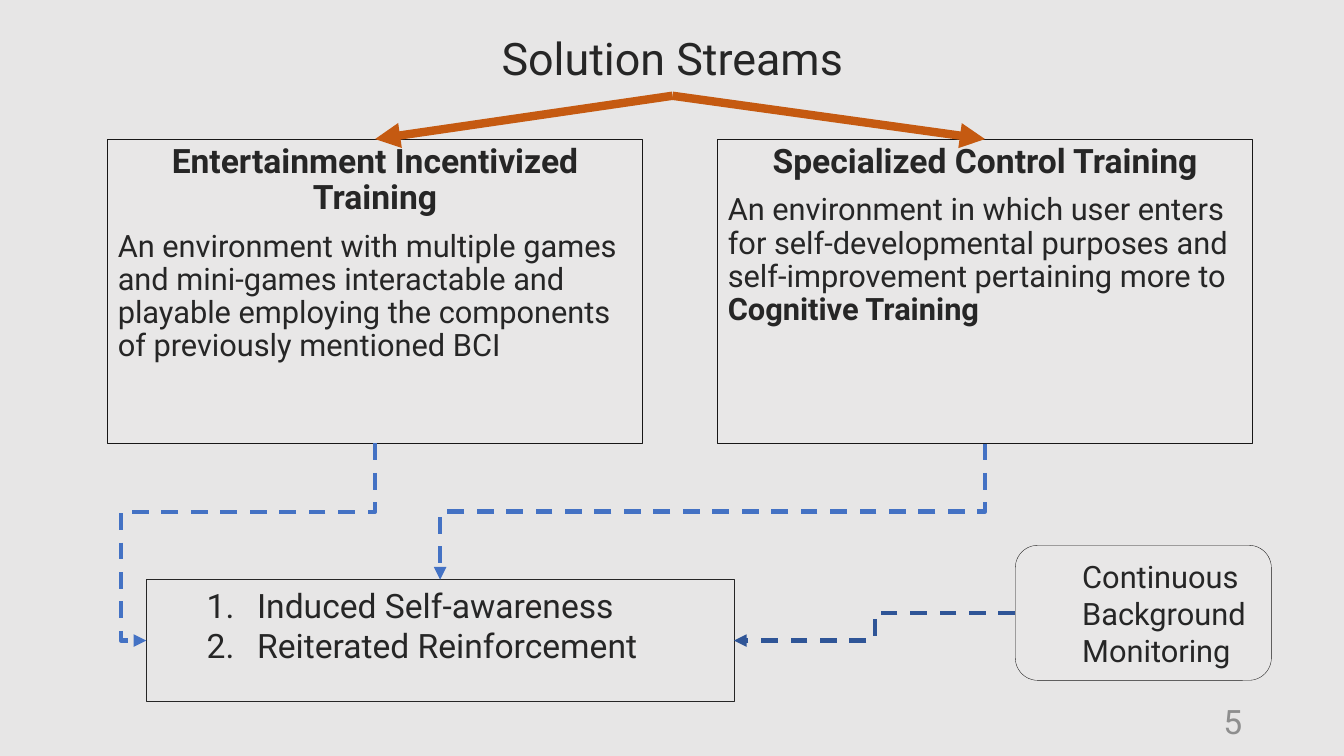
import pptx
import pptx.dml.color
import pptx.enum.dml
import pptx.enum.shapes
import pptx.enum.text
import pptx.oxml
import pptx.oxml.ns
import pptx.util
import lxml.etree

Inches = pptx.util.Inches
Pt = pptx.util.Pt
ALIGN = pptx.enum.text.PP_ALIGN
ANCHOR = pptx.enum.text.MSO_ANCHOR
SHAPE = pptx.enum.shapes.MSO_SHAPE
CONNECTOR = pptx.enum.shapes.MSO_CONNECTOR
qn = pptx.oxml.ns.qn

FONT = "Roboto"
INK = "262626"
PANEL = "E8E7E7"
TOP, LEFT, BOTTOM, RIGHT = range(4)


def color(value):
    return pptx.dml.color.RGBColor.from_string(value)


def place(item, box):
    item.left, item.top, item.width, item.height = (Inches(v) for v in box)


def add_run(para, text, size, bold=False, ink=INK):
    font_run = para.add_run()
    font_run.text = text
    font = font_run.font
    font.name, font.size, font.bold = FONT, Pt(size), bold
    font.color.rgb = color(ink)


def set_indent(para, margin, first=0):
    properties = para._p.get_or_add_pPr()
    properties.set("marL", str(Inches(margin)))
    properties.set("indent", str(Inches(first)))
    return properties


def outline(item, line_color, width):
    item.line.color.rgb = color(line_color)
    item.line.width = Pt(width)


def add_panel(page, kind, box, width, anchor):
    panel = page.shapes.add_shape(kind, *(Inches(v) for v in box))
    panel.shadow.inherit = False
    panel.fill.solid()
    panel.fill.fore_color.rgb = color(PANEL)
    outline(panel, "181717", width)
    panel.text_frame.word_wrap = True
    panel.text_frame.vertical_anchor = anchor
    return panel


def add_title(page, box, text):
    title = page.shapes.title
    place(title, box)
    title.text_frame.vertical_anchor = ANCHOR.MIDDLE
    para = title.text_frame.paragraphs[0]
    para.alignment = ALIGN.CENTER
    para.line_spacing = 0.9
    add_run(para, text, 32)
    return title


def add_stream(page, box, heading, body_runs):
    """Box with a bold heading over a description of (text, bold) runs."""
    panel = add_panel(page, SHAPE.RECTANGLE, box, 0.75, ANCHOR.TOP)
    head = panel.text_frame.paragraphs[0]
    body = panel.text_frame.add_paragraph()
    for para, alignment in ((head, ALIGN.CENTER), (body, ALIGN.LEFT)):
        para.alignment = alignment
        para.line_spacing = 0.9
        para.space_before = Pt(10)
    add_run(head, heading, 24, bold=True)
    for text, bold in body_runs:
        add_run(body, text, 22, bold)
    return panel


def add_outcomes(page, box, items):
    """Numbered list in the body placeholder."""
    outcomes = page.placeholders[1]
    place(outcomes, box)
    outline(outcomes, INK, 0.25)
    frame = outcomes.text_frame
    frame.auto_size = pptx.enum.text.MSO_AUTO_SIZE.NONE
    frame.vertical_anchor = ANCHOR.TOP
    for index, text in enumerate(items):
        para = frame.add_paragraph() if index else frame.paragraphs[0]
        para.space_before = Pt(0)
        properties = set_indent(para, 1, -0.5)
        bullet_font = lxml.etree.SubElement(properties, qn("a:buFont"))
        bullet_font.set("typeface", FONT)
        numbering = lxml.etree.SubElement(properties, qn("a:buAutoNum"))
        numbering.set("type", "arabicPeriod")
        add_run(para, text, 24)
    return outcomes


def add_monitor(page, box, text):
    monitor = add_panel(page, SHAPE.ROUNDED_RECTANGLE, box, 0.25, ANCHOR.MIDDLE)
    para = monitor.text_frame.paragraphs[0]
    para.alignment = ALIGN.LEFT
    set_indent(para, 0.5)
    add_run(para, text, 22)
    return monitor


def add_arrow(page, kind, start, end, line_color, width):
    """Arrow between two (shape, side) pairs."""
    arrow = page.shapes.add_connector(kind, 0, 0, 0, 0)
    arrow.begin_connect(*start)
    arrow.end_connect(*end)
    outline(arrow, line_color, width)
    tail = lxml.etree.SubElement(arrow.line._get_or_add_ln(), qn("a:tailEnd"))
    tail.set("type", "triangle")
    lxml.etree.SubElement(arrow._element.spPr, qn("a:effectLst"))
    return arrow


def add_elbow(page, start, end, line_color):
    elbow = add_arrow(page, CONNECTOR.ELBOW, start, end, line_color, 3)
    elbow.line.dash_style = pptx.enum.dml.MSO_LINE.DASH
    return elbow


def leave_downward(elbow, preset="bentConnector3", adjustments=()):
    """Turn an elbow that runs down and left so that it starts vertically."""
    left, top, width, height = elbow.left, elbow.top, elbow.width, elbow.height
    shift = (width - height) // 2
    elbow.left, elbow.top = left + shift, top - shift
    elbow.width, elbow.height = height, width
    properties = elbow._element.spPr
    properties.xfrm.attrib.pop("flipH", None)
    properties.xfrm.set("rot", "5400000")
    geometry = properties.find(qn("a:prstGeom"))
    geometry.set("prst", preset)
    guides = geometry.find(qn("a:avLst"))
    for number, share in enumerate(adjustments, 1):
        guide = lxml.etree.SubElement(guides, qn("a:gd"))
        guide.set("name", f"adj{number}")
        guide.set("fmla", f"val {round(share * 100000)}")


def add_page_number(page, box, text):
    number = page.shapes.add_textbox(*(Inches(v) for v in box))
    number.text_frame.word_wrap = True
    number.text_frame.vertical_anchor = ANCHOR.MIDDLE
    para = number.text_frame.paragraphs[0]
    para.alignment = ALIGN.RIGHT
    add_run(para, text, 24, ink="8E8E8E")


def build_streams_page(deck):
    page = deck.slides.add_slide(deck.slide_layouts[1])
    page.background.fill.solid()
    page.background.fill.fore_color.rgb = color("E7E6E6")

    # Title and the two streams
    title = add_title(page, (0.92, 0.26, 11.5, 0.69), "Solution Streams")
    control = add_stream(page, (7.12, 1.38, 5.3, 3.02), "Specialized Control Training", [
        ("An environment in which user enters for self-developmental purposes "
         "and self-improvement pertaining more to ", False),
        ("Cognitive Training", True)])
    games = add_stream(page, (1.07, 1.38, 5.3, 3.02), "Entertainment Incentivized Training", [
        ("An environment with multiple games and mini-games interactable and playable "
         "employing the components of previously mentioned BCI", False)])
    for stream in (control, games):
        add_arrow(page, CONNECTOR.STRAIGHT, (title, BOTTOM), (stream, TOP), "C55A11", 6)

    # Outcomes and monitoring
    outcomes = add_outcomes(page, (1.45, 5.75, 5.83, 1.21),
                            ["Induced Self-awareness", "Reiterated Reinforcement"])
    monitor = add_monitor(page, (10.07, 5.41, 2.54, 1.34), "Continuous Background Monitoring")

    # Dashed flows into the outcomes
    from_games = add_elbow(page, (games, BOTTOM), (outcomes, LEFT), "4472C4")
    leave_downward(from_games, "bentConnector4", (0.346, 1.111))
    from_control = add_elbow(page, (control, BOTTOM), (outcomes, TOP), "4472C4")
    leave_downward(from_control)
    add_elbow(page, (monitor, LEFT), (outcomes, RIGHT), "2F5597")

    add_page_number(page, (9.42, 6.95, 3, 0.4), "5")


def main():
    deck = pptx.Presentation()
    deck.slide_width, deck.slide_height = Inches(13.33), Inches(7.5)
    build_streams_page(deck)
    deck.save("out.pptx")


if __name__ == "__main__":
    main()
